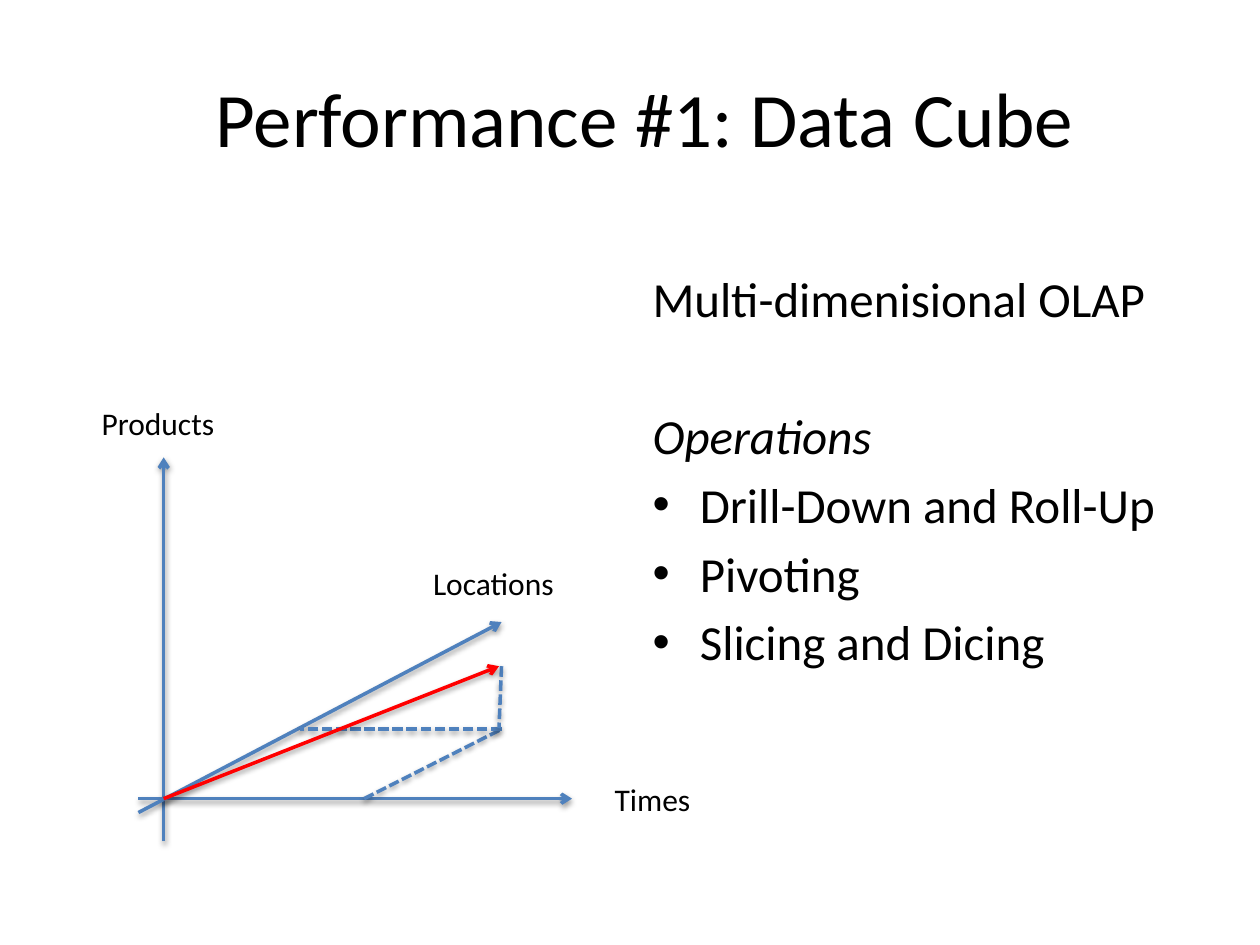
from lxml.etree import SubElement
from pptx import Presentation
from pptx.dml.color import RGBColor
from pptx.enum.dml import MSO_LINE
from pptx.enum.shapes import MSO_CONNECTOR
from pptx.enum.text import MSO_ANCHOR, MSO_AUTO_SIZE, PP_ALIGN
from pptx.oxml.ns import qn
from pptx.util import Cm, Pt

BLACK = RGBColor(0, 0, 0)
BLUE = RGBColor(0x4F, 0x81, 0xBD)
RED = RGBColor(0xFF, 0, 0)


def set_format(target, values):
    for name, value in values.items():
        setattr(target, name, value)


def style_text(paragraph, size, italic=False):
    set_format(paragraph.font, {"name": "Calibri", "size": Pt(size), "italic": italic})
    paragraph.font.color.rgb = BLACK


def place(shape, box):
    set_format(shape, dict(zip(("left", "top", "width", "height"), map(Cm, box))))


def add_title(page, box):
    title = page.shapes.title
    place(title, box)
    title.text_frame.text = "Performance #1: Data Cube"
    title.text_frame.vertical_anchor = MSO_ANCHOR.MIDDLE
    paragraph = title.text_frame.paragraphs[0]
    paragraph.alignment = PP_ALIGN.CENTER
    style_text(paragraph, 44)


def add_operations(page, box):
    body = page.placeholders[1]
    place(body, box)
    frame = body.text_frame
    frame.auto_size = MSO_AUTO_SIZE.NONE
    lines = [
        ("Multi-dimenisional OLAP", False, False, 0),
        ("Operations", False, True, 45),
        ("Drill-Down and Roll-Up", True, False, None),
        ("Pivoting", True, False, None),
        ("Slicing and Dicing", True, False, None),
    ]
    frame.text = "\n".join(line[0] for line in lines)
    for paragraph, (_, bulleted, italic, gap) in zip(frame.paragraphs, lines):
        if not bulleted:
            properties = paragraph._p.get_or_add_pPr()
            properties.set("marL", "0")
            properties.set("indent", "0")
            SubElement(properties, qn("a:buNone"))
        if gap is not None:
            paragraph.space_before = Pt(gap)
        style_text(paragraph, 28, italic)


def add_shadow(connector):
    effects = SubElement(connector._element.spPr, qn("a:effectLst"))
    shadow = SubElement(effects, qn("a:outerShdw"), blurRad="40000", dist="20000",
                        dir="5400000", rotWithShape="0")
    color = SubElement(shadow, qn("a:srgbClr"), val=str(BLACK))
    SubElement(color, qn("a:alpha"), val="38000")


def add_line(shapes, origin, start, end, color=BLUE, arrow=False):
    ends = [Cm(base + offset) for point in (start, end) for base, offset in zip(origin, point)]
    connector = shapes.add_connector(MSO_CONNECTOR.STRAIGHT, *ends)
    connector.line.width = Pt(2)
    connector.line.color.rgb = color
    if arrow:
        SubElement(connector.line._get_or_add_ln(), qn("a:tailEnd"), type="arrow")
    else:
        connector.line.dash_style = MSO_LINE.SQUARE_DOT
    add_shadow(connector)


def add_label(page, text, box):
    label = page.shapes.add_textbox(*map(Cm, box))
    frame = label.text_frame
    set_format(frame, {"word_wrap": True, "auto_size": MSO_AUTO_SIZE.SHAPE_TO_FIT_TEXT,
                       "text": text})
    style_text(frame.paragraphs[0], 18)


def add_cube_axes(page, left, top):
    origin = (left + 1.5, top + 8.07)
    axes = [
        ("Products", (0, 0.86), (0, -6.88), (-1.5, -8.07), 6.07),
        ("Times", (-0.51, 0), (8.23, 0), (8.84, -0.51), 6.07),
        ("Locations", (-0.51, 0.28), (6.81, -3.56), (5.18, -4.85), 3.05),
    ]
    for _, start, end, _, _ in axes:
        add_line(page.shapes, origin, start, end, arrow=True)
    for text, _, _, (across, down), width in axes:
        add_label(page, text, (origin[0] + across, origin[1] + down, width, 1.02))

    vector = page.shapes.add_group_shape().shapes
    corner, tip = (6.81, -1.4), (6.76, -2.67)
    for start, end in [((4.04, 0), corner), (corner, (2.74, -1.4)),
                       ((6.81, -2.67), (6.76, -1.42))]:
        add_line(vector, origin, start, end)
    add_line(vector, origin, (0, 0), tip, RED, arrow=True)


def main():
    deck = Presentation()
    set_format(deck, {"slide_width": Cm(25.4), "slide_height": Cm(19.05)})
    page = deck.slides.add_slide(deck.slide_layouts[1])
    add_title(page, (1.27, 0.76, 23.47, 3.18))
    add_operations(page, (12.9, 5.28, 11.23, 11.73))
    add_cube_axes(page, 1.8, 8.03)
    deck.save("out.pptx")


if __name__ == "__main__":
    main()
